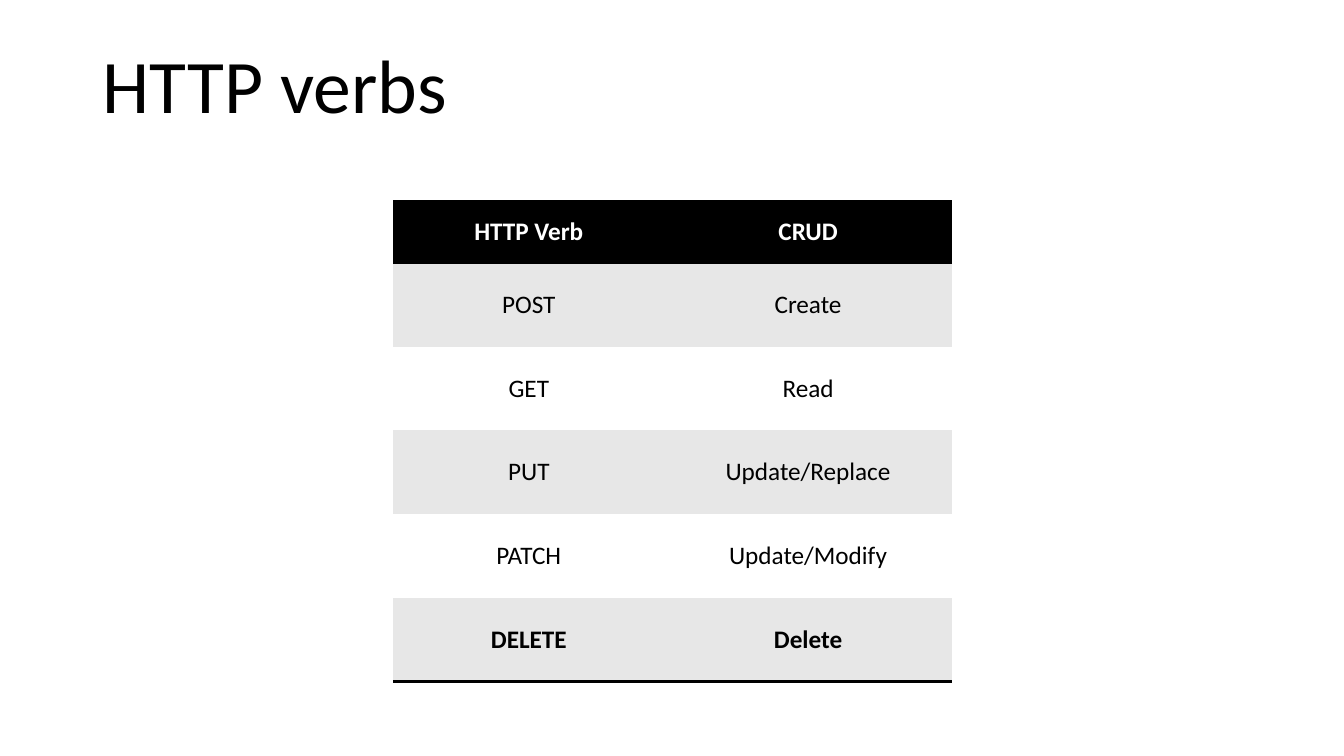
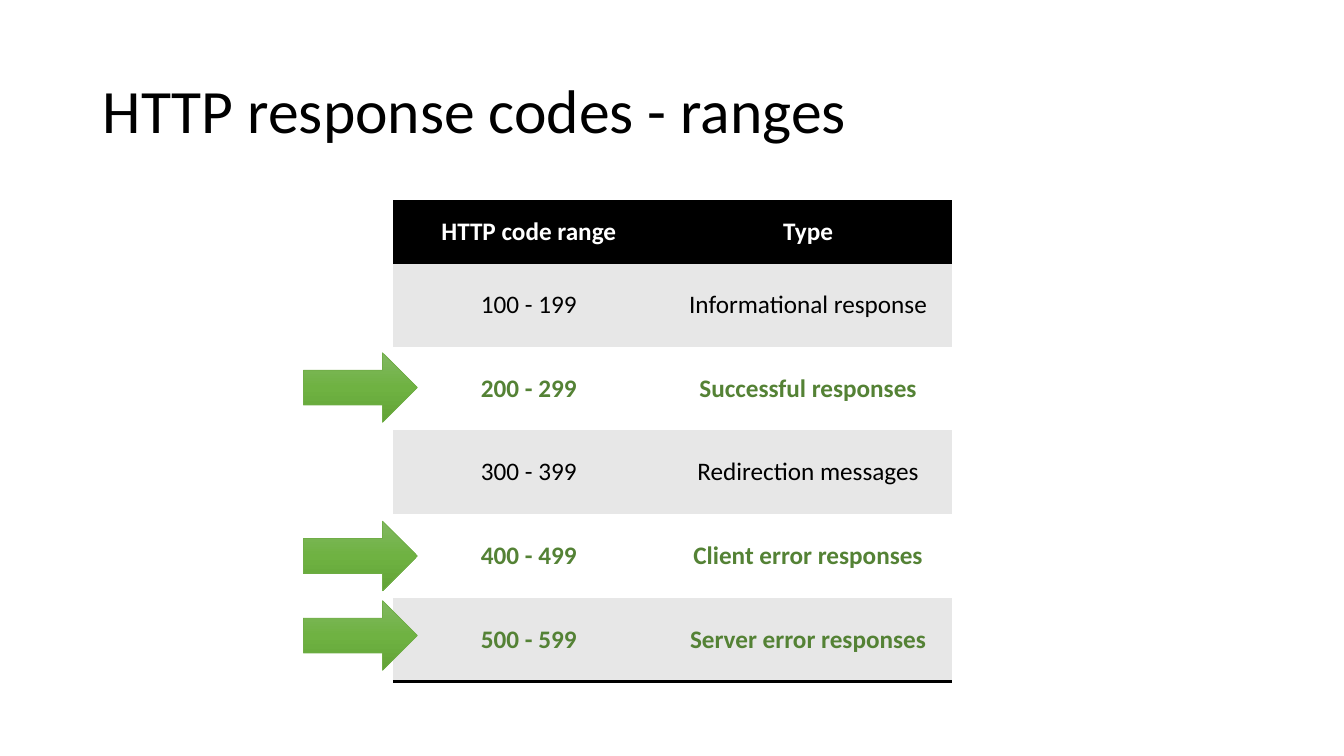
from copy import deepcopy
from dataclasses import dataclass

from lxml.etree import SubElement as Sub, Element as Elem
from pptx import Presentation
from pptx.dml.color import RGBColor
from pptx.enum.shapes import MSO_SHAPE as Shape
from pptx.enum.text import MSO_ANCHOR as Anchor, PP_ALIGN as Align
from pptx.oxml.ns import qn
from pptx.slide import Slide
from pptx.table import _Cell as Cell
from pptx.text.text import _Paragraph as Para
from pptx.util import Emu, Pt

BLACK = RGBColor(0x00, 0x00, 0x00)
WHITE = RGBColor(0xFF, 0xFF, 0xFF)
GREY = RGBColor(0xE7, 0xE7, 0xE7)
DARK = RGBColor(0x54, 0x82, 0x35)
GREEN = RGBColor(0x70, 0xAD, 0x47)
SHADES = (
    RGBColor(0x81, 0xB8, 0x61),
    RGBColor(0x6F, 0xB2, 0x42),
    RGBColor(0x62, 0xA3, 0x36),
)
FONT = "Calibri"
PLAIN = "{2D5ABB26-0587-4C30-8999-92F81FD0307C}"
COLS = (269, 285)
HEAD, BODY = 61, 83


def px(size: int) -> Emu:
    return Emu(size * 9144)


@dataclass(frozen=True)
class Title:
    text: str
    top: int
    height: int
    size: int
    anchor: Anchor


@dataclass(frozen=True)
class Row:
    cells: tuple[str, str]
    color: RGBColor = BLACK
    bold: bool = False


@dataclass(frozen=True)
class Page:
    title: Title
    rows: tuple[Row, ...]
    arrows: tuple[int, ...] = ()


PAGES = (
    Page(
        Title("HTTP verbs", 32, 102, 54, Anchor.BOTTOM),
        (
            Row(("HTTP Verb", "CRUD"), WHITE, True),
            Row(("POST", "Create")),
            Row(("GET", "Read")),
            Row(("PUT", "Update/Replace")),
            Row(("PATCH", "Update/Modify")),
            Row(("DELETE", "Delete"), bold=True),
        ),
    ),
    Page(
        Title("HTTP response codes - ranges", 40, 145, 44, Anchor.MIDDLE),
        (
            Row(("HTTP code range", "Type"), WHITE, True),
            Row(("100 - 199", "Informational response")),
            Row(("200 - 299", "Successful responses"), DARK, True),
            Row(("300 - 399", "Redirection messages")),
            Row(("400 - 499", "Client error responses"), DARK, True),
            Row(("500 - 599", "Server error responses"), DARK, True),
        ),
        (350, 517, 596),
    ),
)


def add_run(para: Para, text: str, size: int, color: RGBColor, bold: bool = False) -> None:
    run = para.add_run()
    run.text = text
    run.font.name = FONT
    run.font.size = Pt(size)
    run.font.bold = bold
    run.font.color.rgb = color


def add_title(slide: Slide, title: Title) -> None:
    box = slide.shapes.add_textbox(px(92), px(title.top), px(1150), px(title.height))
    frame = box.text_frame
    frame.word_wrap = True
    frame.vertical_anchor = title.anchor
    para = frame.paragraphs[0]
    para.line_spacing = 0.9
    add_run(para, title.text, title.size, BLACK)


def add_edge(cell: Cell, *tags: str) -> None:
    props = cell._tc.get_or_add_tcPr()
    for spot, tag in enumerate(tags):
        line = Elem(qn(tag), w=str(Pt(2)))
        fill = Sub(line, qn("a:solidFill"))
        Sub(fill, qn("a:srgbClr"), val=str(BLACK))
        props.insert(spot, line)


def fill_cell(cell: Cell, text: str, row: Row, back: RGBColor) -> None:
    cell.margin_left = cell.margin_right = px(5)
    cell.margin_top = cell.margin_bottom = px(5)
    cell.vertical_anchor = Anchor.MIDDLE
    cell.fill.solid()
    cell.fill.fore_color.rgb = back
    para = cell.text_frame.paragraphs[0]
    para.alignment = Align.CENTER
    add_run(para, text, 18, row.color, row.bold)


def add_grid(slide: Slide, rows: tuple[Row, ...]) -> None:
    last = len(rows) - 1
    frame = slide.shapes.add_table(
        len(rows), len(COLS), px(390), px(200), px(sum(COLS)), px(HEAD + BODY * last)
    )
    table = frame.table
    table.first_row = table.horz_banding = False
    table._tbl.tblPr.find(qn("a:tableStyleId")).text = PLAIN
    for col, width in zip(table.columns, COLS):
        col.width = px(width)
    for i, row in enumerate(rows):
        table.rows[i].height = px(BODY if i else HEAD)
        back = BLACK if i == 0 else GREY if i % 2 else WHITE
        for j, text in enumerate(row.cells):
            cell = table.cell(i, j)
            fill_cell(cell, text, row, back)
            if i == 0:
                add_edge(cell, "a:lnT", "a:lnB")
            elif i == last:
                add_edge(cell, "a:lnB")


def add_arrow(slide: Slide, top: int) -> None:
    arrow = slide.shapes.add_shape(Shape.RIGHT_ARROW, px(301), px(top), px(113), px(69))
    arrow.shadow.inherit = False
    arrow.line.color.rgb = GREEN
    arrow.line.width = Pt(0.5)
    fill = arrow.fill
    fill.gradient()
    fill.gradient_angle = 270
    stops = arrow.element.spPr.find(".//" + qn("a:gsLst"))
    stops.insert(1, deepcopy(stops[0]))
    for i, (stop, shade) in enumerate(zip(fill.gradient_stops, SHADES)):
        stop.position = i / 2
        stop.color.rgb = shade


def main() -> None:
    deck = Presentation()
    deck.slide_width, deck.slide_height = px(1333), px(750)
    for page in PAGES:
        slide = deck.slides.add_slide(deck.slide_layouts[6])
        add_title(slide, page.title)
        add_grid(slide, page.rows)
        for top in page.arrows:
            add_arrow(slide, top)
    deck.save("out.pptx")


if __name__ == "__main__":
    main()
